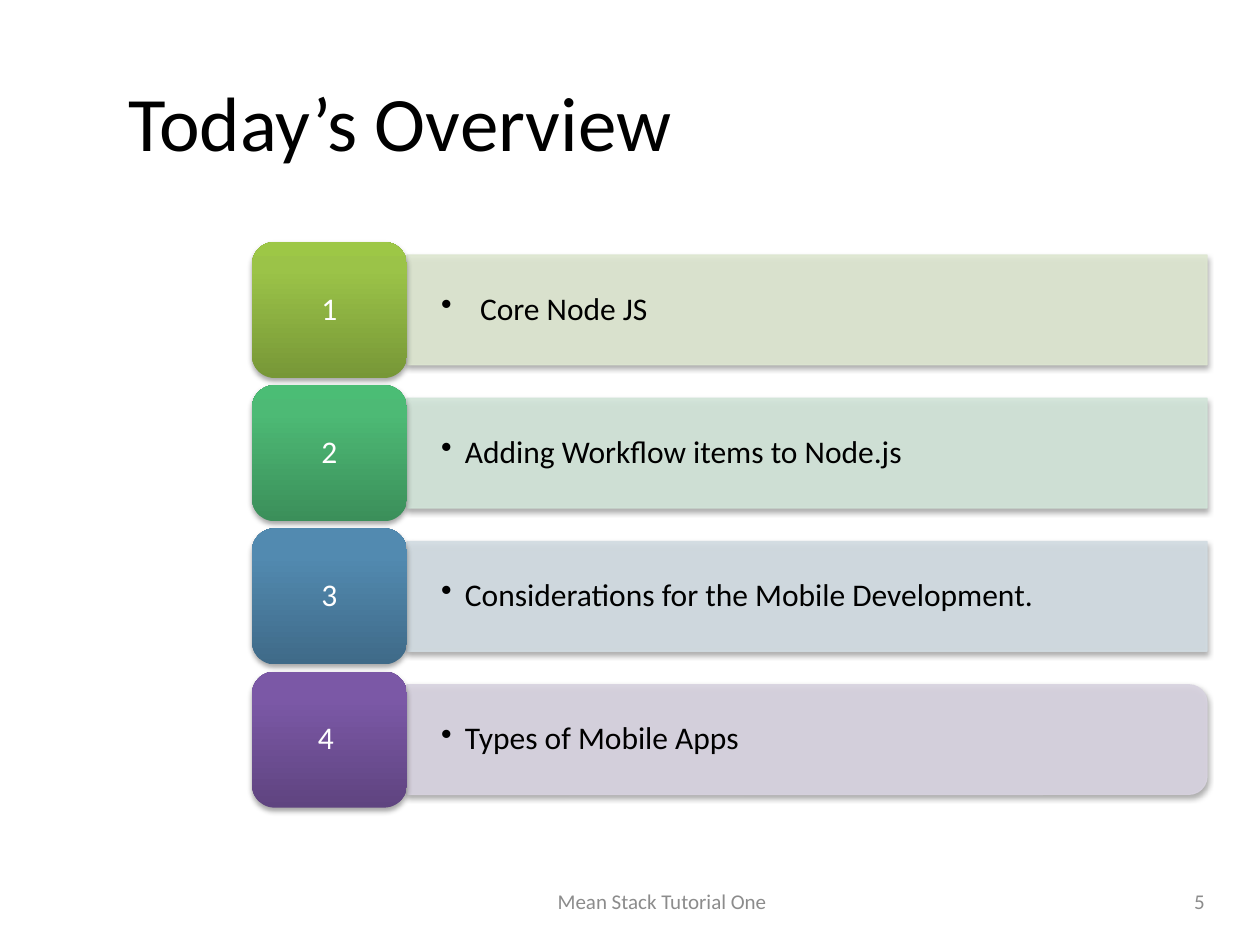
"""Build the overview slide with four numbered agenda rows."""
from copy import deepcopy
from dataclasses import dataclass

from lxml import etree
from pptx import Presentation
from pptx.dml.color import RGBColor
from pptx.enum.shapes import MSO_SHAPE
from pptx.enum.text import MSO_ANCHOR, PP_ALIGN
from pptx.oxml.ns import qn
from pptx.util import Inches, Pt

RECT = MSO_SHAPE.RECTANGLE
ROUNDED = MSO_SHAPE.ROUNDED_RECTANGLE
ROUNDED_END = MSO_SHAPE.ROUND_2_SAME_RECTANGLE
MIDDLE = MSO_ANCHOR.MIDDLE
LEFT, CENTER, RIGHT = PP_ALIGN.LEFT, PP_ALIGN.CENTER, PP_ALIGN.RIGHT


@dataclass(frozen=True)
class Theme:
    font: str = "Calibri"
    ink: str = "000000"
    light: str = "FFFFFF"
    muted: str = "8C8C8C"
    title_size: int = 44
    body_size: int = 18
    footer_size: int = 12
    bar_opacity: int = 90
    shadow_opacity: int = 35


THEME = Theme()
TILE_LEFT, TILE_WIDTH, TILE_HEIGHT = 2, 1.23, 1.08
FIRST_TOP, LAST_TOP = 1.92, 5.33
BAR_LEFT, BAR_WIDTH, BAR_HEIGHT = TILE_LEFT + TILE_WIDTH, 6.35, 0.87
GRADIENT_POSITIONS = (0, 0.8, 1)

AGENDA = [
    ("1", "Core Node JS", 0.31, RECT, "DEE7D1", ("779737", "9BC348", "9DC746")),
    ("2", "Adding Workflow items to Node.js", 0.19, RECT, "D2E5D9",
     ("3B8F5A", "4DBA75", "4BBD75")),
    ("3", "Considerations for the Mobile Development.", 0.19, RECT, "D2DCE2",
     ("3F6A88", "528AB0", "518BB3")),
    ("4 ", "Types of Mobile Apps", 0.19, ROUNDED_END, "D8D3E0",
     ("5F4480", "7B58A6", "7C57A8")),
]


def rgb(value):
    """Turn a hex string into a colour."""
    return RGBColor.from_string(value)


def add_alpha(color, percent):
    """Make a colour element partly transparent."""
    etree.SubElement(color, qn("a:alpha"), val=str(percent * 1000))


def add_shadow(shape):
    """Give a shape a soft shadow that falls straight down."""
    shape.shadow.inherit = False
    effects = shape._element.spPr.find(qn("a:effectLst"))
    outer = etree.SubElement(effects, qn("a:outerShdw"), blurRad=str(Pt(3.1)),
                             dist=str(Pt(1.8)), dir="5400000", rotWithShape="0")
    color = etree.SubElement(outer, qn("a:srgbClr"), val=THEME.ink)
    add_alpha(color, THEME.shadow_opacity)


def write_text(shape, text, size, color, align=LEFT):
    """Write one vertically centred run and return its paragraph."""
    frame = shape.text_frame
    frame.word_wrap = True
    frame.vertical_anchor = MIDDLE
    paragraph = frame.paragraphs[0]
    paragraph.alignment = align
    run = paragraph.add_run()
    run.text = text
    run.font.name = THEME.font
    run.font.size = Pt(size)
    run.font.color.rgb = rgb(color)
    return paragraph


def set_margins(shape, horizontal, vertical):
    """Set equal text margins on opposite sides."""
    frame = shape.text_frame
    frame.margin_left = frame.margin_right = Inches(horizontal)
    frame.margin_top = frame.margin_bottom = Inches(vertical)


def add_bullet(paragraph, indent):
    """Give a paragraph a hanging bullet."""
    properties = paragraph._p.get_or_add_pPr()
    properties.set("marL", str(Inches(indent)))
    properties.set("indent", str(-Inches(indent)))
    etree.SubElement(properties, qn("a:buChar"), char="•")


def add_bar(slide, middle, outline, color):
    """Add a tinted bar, turned so that its top edge faces right."""
    center = BAR_LEFT + BAR_WIDTH / 2
    bar = slide.shapes.add_shape(
        outline, Inches(center - BAR_HEIGHT / 2), Inches(middle - BAR_WIDTH / 2),
        Inches(BAR_HEIGHT), Inches(BAR_WIDTH))
    bar.rotation = 90
    bar.fill.solid()
    bar.fill.fore_color.rgb = rgb(color)
    bar.line.color.rgb = rgb(color)
    bar.line.width = Pt(0.75)
    for tint in bar._element.spPr.iter(qn("a:srgbClr")):
        add_alpha(tint, THEME.bar_opacity)
    add_shadow(bar)


def add_topic(slide, middle, text, indent):
    """Add the bulleted topic that lies on a bar."""
    topic = slide.shapes.add_textbox(
        Inches(BAR_LEFT), Inches(middle - BAR_HEIGHT / 2),
        Inches(BAR_WIDTH), Inches(BAR_HEIGHT))
    set_margins(topic, 0.27, 0.14)
    paragraph = write_text(topic, text, THEME.body_size, THEME.ink)
    paragraph.level = 1
    paragraph.line_spacing = 0.9
    add_bullet(paragraph, indent)


def add_number_tile(slide, top, number, colors):
    """Add a rounded gradient tile holding a row number."""
    tile = slide.shapes.add_shape(ROUNDED, Inches(TILE_LEFT), Inches(top),
                                  Inches(TILE_WIDTH), Inches(TILE_HEIGHT))
    tile.fill.gradient()
    tile.fill.gradient_angle = 90
    stop_list = next(tile._element.spPr.iter(qn("a:gsLst")))
    stop_list.append(deepcopy(stop_list[-1]))
    for stop, position, color in zip(tile.fill.gradient_stops, GRADIENT_POSITIONS, colors):
        stop.position = position
        stop.color.rgb = rgb(color)
    tile.line.fill.background()
    add_shadow(tile)
    set_margins(tile, 0.07, 0.04)
    paragraph = write_text(tile, number, THEME.body_size, THEME.light, CENTER)
    paragraph.line_spacing = 0.9


def add_title(slide, text):
    """Place and fill the title placeholder."""
    title = slide.shapes.title
    title.left, title.top = Inches(0.92), Inches(0.33)
    title.width, title.height = Inches(8.83), Inches(1.25)
    write_text(title, text, THEME.title_size, THEME.ink)


def add_footer(slide, left, width, text, align):
    """Add a muted text on the footer line."""
    footer = slide.shapes.add_textbox(Inches(left), Inches(6.95), Inches(width), Inches(0.4))
    write_text(footer, text, THEME.footer_size, THEME.muted, align)


def main():
    """Build and save the slide."""
    presentation = Presentation()
    presentation.slide_width, presentation.slide_height = Inches(10), Inches(7.5)
    slide = presentation.slides.add_slide(presentation.slide_layouts[5])
    add_title(slide, "Today’s Overview")
    pitch = (LAST_TOP - FIRST_TOP) / (len(AGENDA) - 1)
    for row, (number, topic, indent, outline, tint, colors) in enumerate(AGENDA):
        top = FIRST_TOP + row * pitch
        middle = top + TILE_HEIGHT / 2
        add_bar(slide, middle, outline, tint)
        add_topic(slide, middle, topic, indent)
        add_number_tile(slide, top, number, colors)
    add_footer(slide, 3.67, 3.17, "Mean Stack Tutorial One", CENTER)
    add_footer(slide, 7.33, 2.33, "5", RIGHT)
    presentation.save("out.pptx")


if __name__ == "__main__":
    main()
